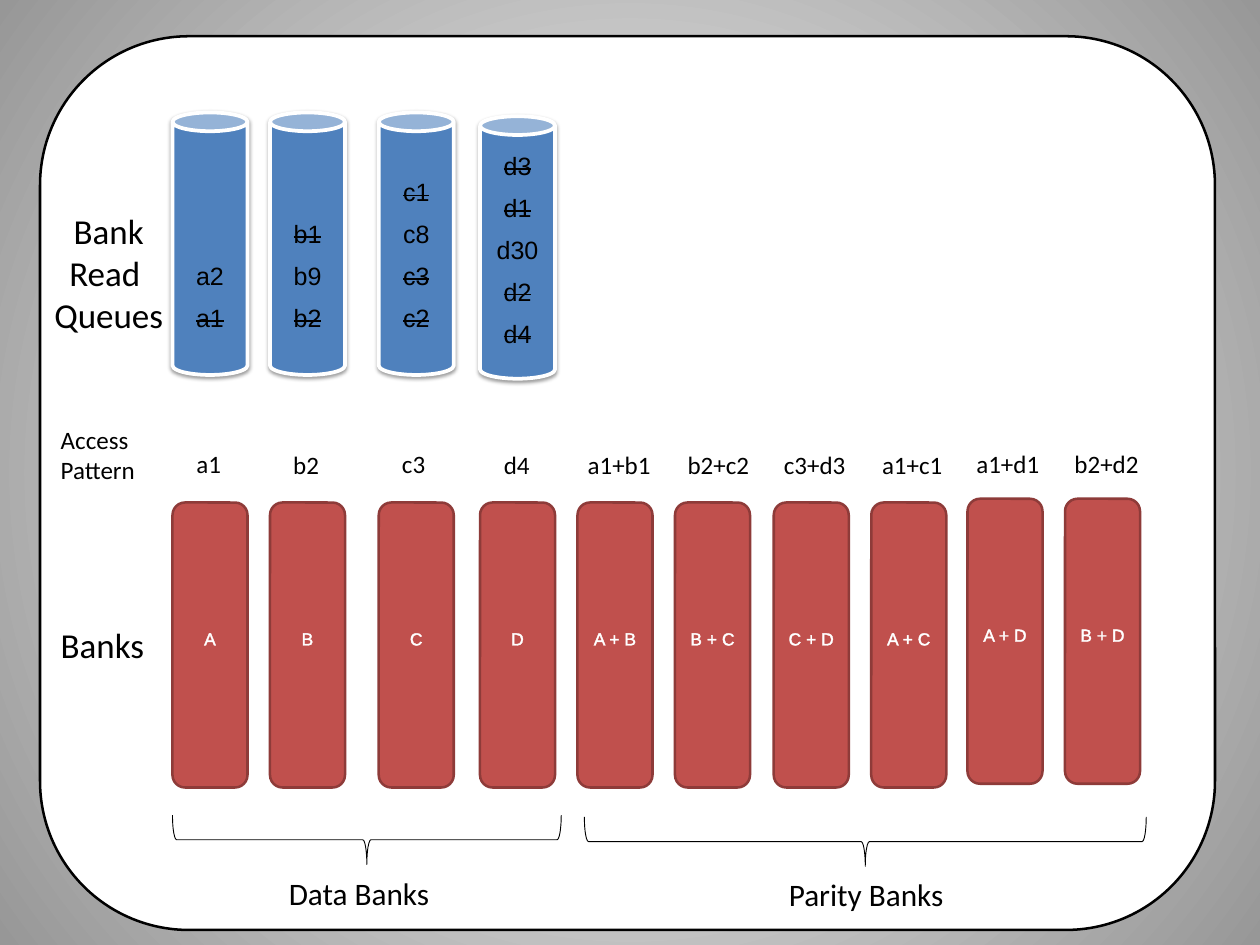
from lxml import etree
from pptx import Presentation
from pptx.dml.color import RGBColor
from pptx.enum.shapes import MSO_SHAPE
from pptx.enum.text import MSO_ANCHOR, MSO_AUTO_SIZE, PP_ALIGN
from pptx.oxml import parse_xml
from pptx.oxml.ns import nsdecls, qn
from pptx.util import Pt

ROUND_RECT = MSO_SHAPE.ROUNDED_RECTANGLE
CAN = MSO_SHAPE.CAN
BRACE = MSO_SHAPE.LEFT_BRACE
MIDDLE, BOTTOM = MSO_ANCHOR.MIDDLE, MSO_ANCHOR.BOTTOM
LEFT, CENTER = PP_ALIGN.LEFT, PP_ALIGN.CENTER
GROW = MSO_AUTO_SIZE.SHAPE_TO_FIT_TEXT

COLORS = {
    "white": "FFFFFF",
    "black": "000000",
    "edge": "979797",
    "bank": "C0504D",
    "bank_line": "8E3B39",
    "queue": "4F81BD",
}
COLUMN_WIDTH = 60

BANKS = [
    (138, 402, "A"), (216, 402, "B"), (303, 402, "C"), (384, 402, "D"),
    (462, 402, "A + B"), (540, 402, "B + C"), (619, 402, "C + D"),
    (697, 402, "A + C"), (774, 399, "A + D"), (852, 399, "B + D"),
]
QUEUES = [
    (138, 90, 26.5, [("a2", False), ("a1", True)]),
    (216, 90, 26.5, [("b1", True), ("b9", False), ("b2", True)]),
    (303, 90, 26.5, [("c1", True), ("c8", False), ("c3", True), ("c2", True)]),
    (384, 93, 17, [("d3", True), ("d1", True), ("d30", False), ("d2", True),
                   ("d4", True)]),
]
ACCESSES = [
    (150, 355, "a1"), (227.5, 356, "b2"), (314.5, 355, "c3"),
    (396, 356, "d4"), (463, 356, "a1+b1"), (543, 356, "b2+c2"),
    (620, 356, "c3+d3"), (698.5, 356, "a1+c1"), (774, 355, "a1+d1"),
    (852.5, 355, "b2+d2"),
]


def rgb(name):
    return RGBColor.from_string(COLORS[name])


def set_font(p, name, size, color):
    p.font.name = name
    p.font.size = Pt(size)
    p.font.color.rgb = rgb(color)


def set_background(s):
    fill = s.background.fill
    fill.gradient()
    for stop, color in zip(fill.gradient_stops, ("white", "edge")):
        stop.color.rgb = rgb(color)
    grad = s._element.find(".//" + qn("a:gradFill"))
    grad.remove(grad.find(qn("a:lin")))
    grad.append(parse_xml(
        f'<a:path {nsdecls("a")} path="circle">'
        '<a:fillToRect l="50000" t="50000" r="50000" b="50000"/></a:path>'))


def add_shape(s, kind, left, top, width, height, fill, line, line_width):
    sp = s.shapes.add_shape(kind, Pt(left), Pt(top), Pt(width), Pt(height))
    sp.shadow.inherit = False
    if fill:
        sp.fill.solid()
        sp.fill.fore_color.rgb = rgb(fill)
    else:
        sp.fill.background()
    sp.line.color.rgb = rgb(line)
    sp.line.width = Pt(line_width)
    return sp


def add_bank(s, left, top, name):
    sp = add_shape(s, ROUND_RECT, left, top, COLUMN_WIDTH, 228,
                   "bank", "bank_line", 2)
    tf = sp.text_frame
    tf.vertical_anchor = MIDDLE
    tf.margin_left = tf.margin_right = Pt(0)
    tf.margin_bottom = Pt(14)
    p = tf.paragraphs[0]
    p.alignment = CENTER
    set_font(p, "Arial", 14, "white")
    r = p.add_run()
    r.text = name
    r._r.get_or_add_rPr().insert(0, parse_xml(
        f'<a:ln {nsdecls("a")} w="{Pt(1.45)}"><a:solidFill>'
        f'<a:srgbClr val="{COLORS["white"]}"/></a:solidFill></a:ln>'))


def add_soft_shadow(sp):
    effects = sp._element.spPr.find(qn("a:effectLst"))
    shadow = etree.SubElement(effects, qn("a:outerShdw"), blurRad=str(Pt(3.1)),
                              dist=str(Pt(1.6)), dir="5400000", rotWithShape="0")
    color = etree.SubElement(shadow, qn("a:srgbClr"), val=COLORS["black"])
    etree.SubElement(color, qn("a:alpha"), val="38000")


def add_queue(s, left, top, bottom_inset, reads):
    sp = add_shape(s, CAN, left, top, COLUMN_WIDTH, 210, "queue", "white", 3)
    add_soft_shadow(sp)
    tf = sp.text_frame
    tf.vertical_anchor = BOTTOM
    tf.margin_top = Pt(0)
    tf.margin_bottom = Pt(bottom_inset)
    for i, (name, served) in enumerate(reads):
        p = tf.add_paragraph() if i else tf.paragraphs[0]
        p.alignment = CENTER
        p.line_spacing = Pt(33.5)
        set_font(p, "Arial", 20, "black")
        r = p.add_run()
        r.text = name
        if served:
            r._r.get_or_add_rPr().set("strike", "sngStrike")


def add_label(s, left, top, width, height, size, lines, align=LEFT, wrap=False):
    sp = s.shapes.add_textbox(Pt(left), Pt(top), Pt(width), Pt(height))
    tf = sp.text_frame
    tf.word_wrap = wrap
    tf.auto_size = GROW
    for i, text in enumerate(lines):
        p = tf.add_paragraph() if i else tf.paragraphs[0]
        p.text = text
        p.alignment = align
        set_font(p, "Calibri", size, "black")


def add_brace(s, left, top, width, height):
    sp = add_shape(s, BRACE, left + (width - height) / 2,
                   top - (width - height) / 2, height, width,
                   None, "black", 0.75)
    sp.rotation = 270


def main():
    prs = Presentation()
    prs.slide_width, prs.slide_height = Pt(1008), Pt(756)
    s = prs.slides.add_slide(prs.slide_layouts[6])
    set_background(s)
    add_shape(s, ROUND_RECT, 32, 29, 940, 715, "white", "black", 2)

    for bank in BANKS:
        add_bank(s, *bank)
    for queue in QUEUES:
        add_queue(s, *queue)
    for left, top, name in ACCESSES:
        add_label(s, left, top, 68 if "+" in name else 36, 31.5, 20, [name])

    add_label(s, 36, 164, 102, 109, 28, ["Bank\vRead ", "Queues"], CENTER)
    add_label(s, 41.5, 336, 82, 55.5, 20, ["Access Pattern"], wrap=True)
    add_label(s, 41.5, 495.5, 83, 41, 28, ["Banks"])

    add_brace(s, 138, 652, 311, 39.5)
    add_brace(s, 467.5, 653.5, 449.5, 39.5)
    add_label(s, 224, 696, 128, 37.5, 25, ["Data Banks"])
    add_label(s, 624, 697, 140, 37.5, 25, ["Parity Banks"])
    prs.save("out.pptx")


if __name__ == "__main__":
    main()
